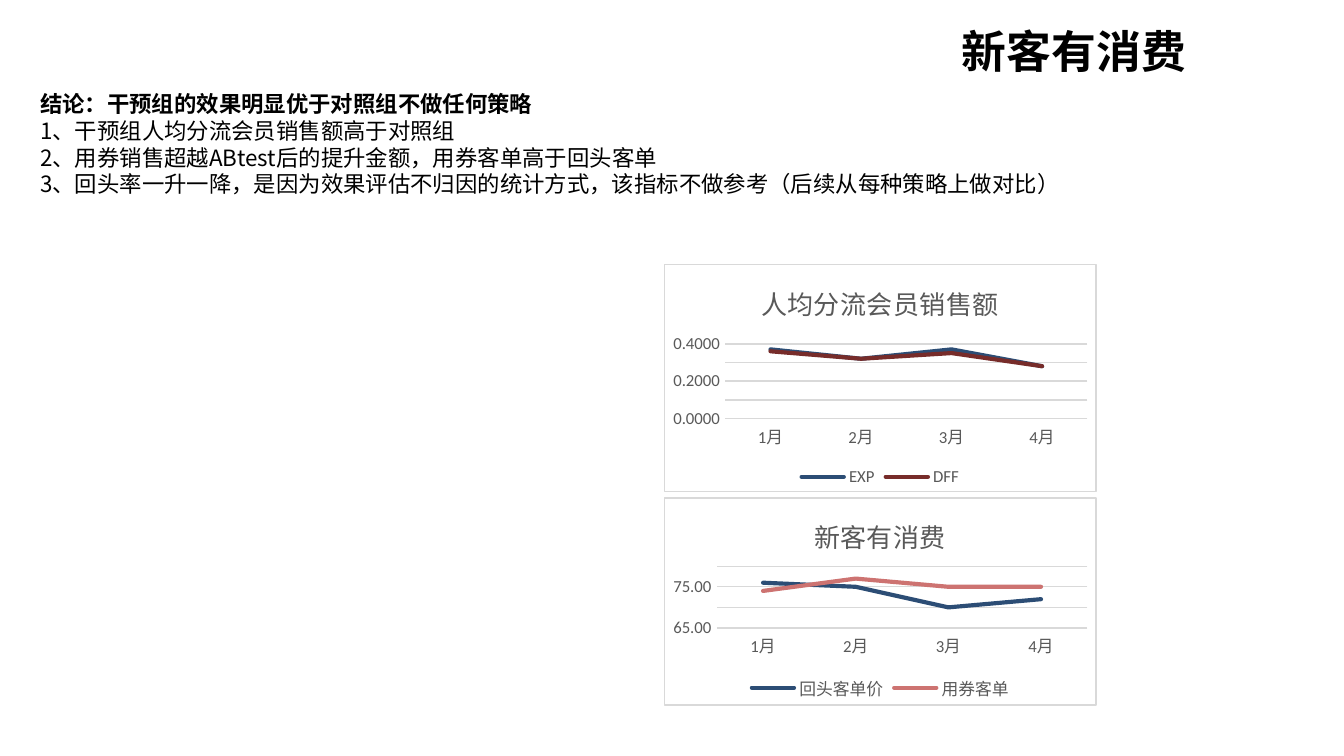
from lxml import etree
from pptx import Presentation
from pptx.chart.data import CategoryChartData
from pptx.dml.color import RGBColor
from pptx.enum.chart import XL_CHART_TYPE, XL_LEGEND_POSITION, XL_MARKER_STYLE, XL_TICK_MARK
from pptx.enum.text import PP_ALIGN
from pptx.oxml import parse_xml
from pptx.oxml.ns import qn
from pptx.util import Pt

PX = 4572  # 200 px to the inch
LINE = XL_CHART_TYPE.LINE
BOTTOM = XL_LEGEND_POSITION.BOTTOM
NO_MARKER = XL_MARKER_STYLE.NONE
NO_TICK = XL_TICK_MARK.NONE
LEFT, CENTER = PP_ALIGN.LEFT, PP_ALIGN.CENTER

TEXT_FONT, CHART_FONT = "Noto Sans CJK SC", "Calibri"
BLACK, GREY, RULE, WHITE = "000000", "595959", "D9D9D9", "FFFFFF"
NAVY, MAROON, ROSE = "2C4D75", "772C2A", "CD7371"
MONTHS = ["1月", "2月", "3月", "4月"]
LINE_HEIGHT = 1.2

CONCLUSION = "结论：干预组的效果明显优于对照组不做任何策略"
FINDINGS = [
    "1、干预组人均分流会员销售额高于对照组",
    "2、用券销售超越ABtest后的提升金额，用券客单高于回头客单",
    "3、回头率一升一降，是因为效果评估不归因的统计方式，该指标不做参考（后续从每种策略上做对比）",
]


def color(value):
    return RGBColor.from_string(value)


def emu(box):
    return [v * PX for v in box]


def style_font(font, size, hex_color, name=CHART_FONT, bold=False):
    font.size, font.name, font.bold = Pt(size), name, bold
    font.color.rgb = color(hex_color)


def style_line(line, hex_color, width):
    line.color.rgb = color(hex_color)
    line.width = Pt(width)


def add_text(slide, box, lines, size=12, align=LEFT):
    """Place (text, bold) lines in a text box, one paragraph each."""
    tf = slide.shapes.add_textbox(*emu(box)).text_frame
    tf.word_wrap = True
    for i, (text, bold) in enumerate(lines):
        p = tf.paragraphs[0] if i == 0 else tf.add_paragraph()
        p.alignment = align
        p.line_spacing = Pt(round(size * LINE_HEIGHT, 1))
        r = p.add_run()
        r.text = text
        style_font(r.font, size, BLACK, TEXT_FONT, bold)
        ea = etree.SubElement(r.font._element, qn("a:ea"))
        ea.set("typeface", TEXT_FONT)


def frame_chart(chart):
    """Give the chart area square corners, a white fill and a thin border."""
    space = chart._chartSpace
    corners = etree.Element(qn("c:roundedCorners"))
    corners.set("val", "0")
    space.find(qn("c:date1904")).addnext(corners)
    space.find(qn("c:chart")).addnext(parse_xml(
        '<c:spPr xmlns:c="http://schemas.openxmlformats.org/drawingml/2006/chart"'
        ' xmlns:a="http://schemas.openxmlformats.org/drawingml/2006/main">'
        f'<a:solidFill><a:srgbClr val="{WHITE}"/></a:solidFill>'
        f'<a:ln w="{Pt(0.75)}"><a:solidFill><a:srgbClr val="{RULE}"/></a:solidFill></a:ln>'
        '</c:spPr>'))


def add_line_chart(slide, box, title, series, scale, number_format):
    data = CategoryChartData()
    data.categories = MONTHS
    for name, values, _ in series:
        data.add_series(name, values)
    chart = slide.shapes.add_chart(LINE, *emu(box), data).chart
    style_font(chart.font, 10, BLACK)
    frame_chart(chart)

    # Title and legend
    chart.has_title = True
    p = chart.chart_title.text_frame.paragraphs[0]
    r = p.add_run()
    r.text = title
    style_font(r.font, 14, GREY)
    chart.has_legend = True
    chart.legend.position = BOTTOM
    chart.legend.include_in_layout = False
    style_font(chart.legend.font, 9, GREY)

    # Axes
    cat, val = chart.category_axis, chart.value_axis
    for axis in (cat, val):
        axis.major_tick_mark = axis.minor_tick_mark = NO_TICK
        style_font(axis.tick_labels.font, 9, GREY)
    style_line(cat.format.line, RULE, 0.75)
    val.format.line.fill.background()
    style_line(val.major_gridlines.format.line, RULE, 0.75)
    val.minimum_scale, val.maximum_scale, val.major_unit = scale
    val.tick_labels.number_format = number_format
    val.tick_labels.number_format_is_linked = False

    # Series with round line ends
    chart.plots[0].vary_by_categories = False
    for s, (_, _, hex_color) in zip(chart.plots[0].series, series):
        s.smooth = False
        s.marker.style = NO_MARKER
        style_line(s.format.line, hex_color, 2.25)
        s._element.find(qn("c:spPr")).find(qn("a:ln")).set("cap", "rnd")


def main():
    prs = Presentation()
    prs.slide_width, prs.slide_height = emu((2000, 1125))
    slide = prs.slides.add_slide(prs.slide_layouts[6])

    # Heading and conclusions
    add_text(slide, (1258, 26, 680, 124), [("新客有消费", True)], size=24, align=CENTER)
    add_text(slide, (40, 124, 1656, 182),
             [(CONCLUSION, True)] + [(text, False) for text in FINDINGS])

    # Charts
    add_line_chart(slide, (988, 740, 644, 310), "新客有消费",
                   [("回头客单价", (76, 75, 70, 72), NAVY),
                    ("用券客单", (74, 77, 75, 75), ROSE)],
                   (65, 80, 5), "#,##0.00")
    add_line_chart(slide, (988, 393, 644, 340), "人均分流会员销售额",
                   [("EXP", (0.37, 0.32, 0.37, 0.28), NAVY),
                    ("DFF", (0.36, 0.32, 0.35, 0.28), MAROON)],
                   (0, 0.4, 0.1), "#,##0.0000;\\-#,##0.0000")

    prs.save("out.pptx")


if __name__ == "__main__":
    main()
